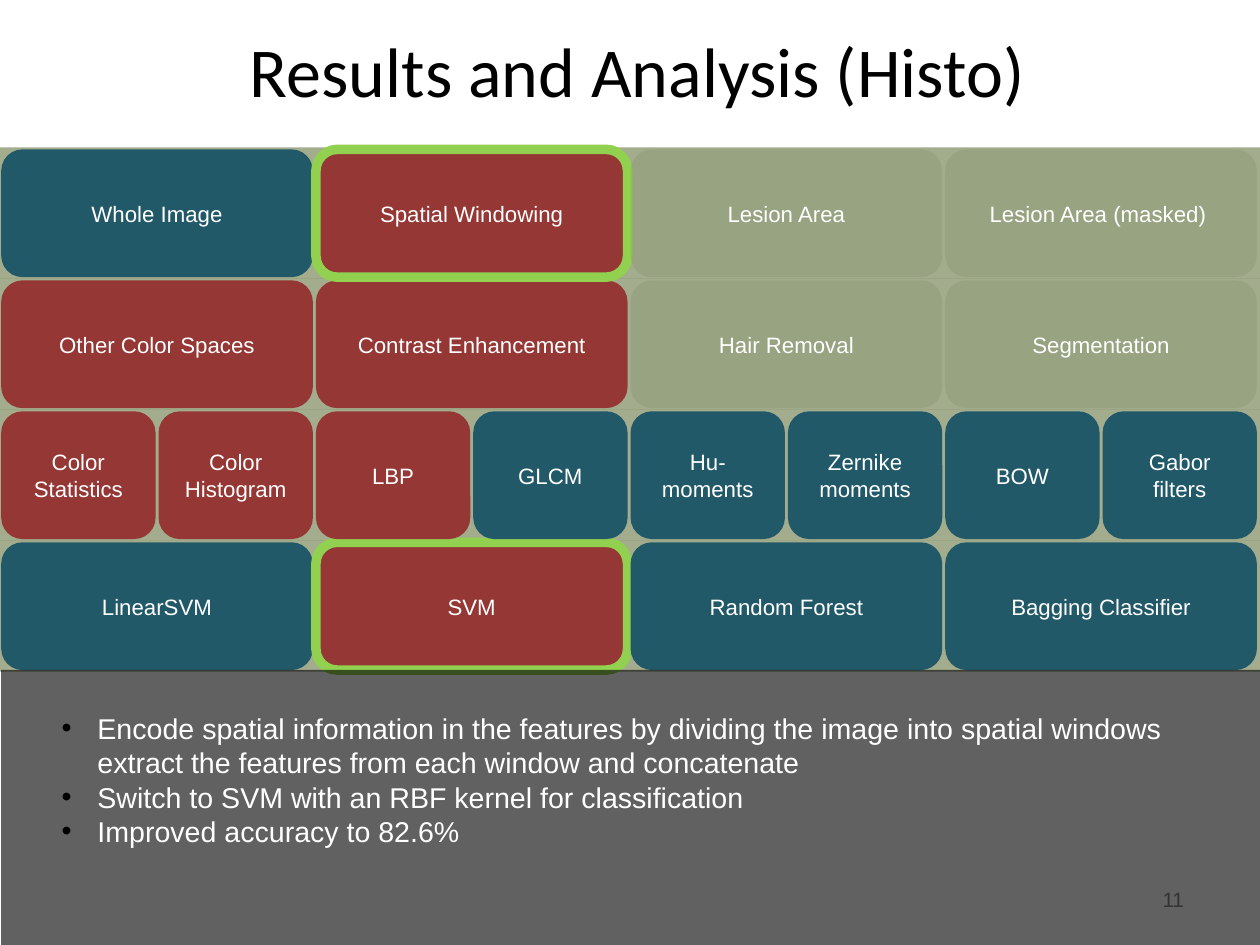
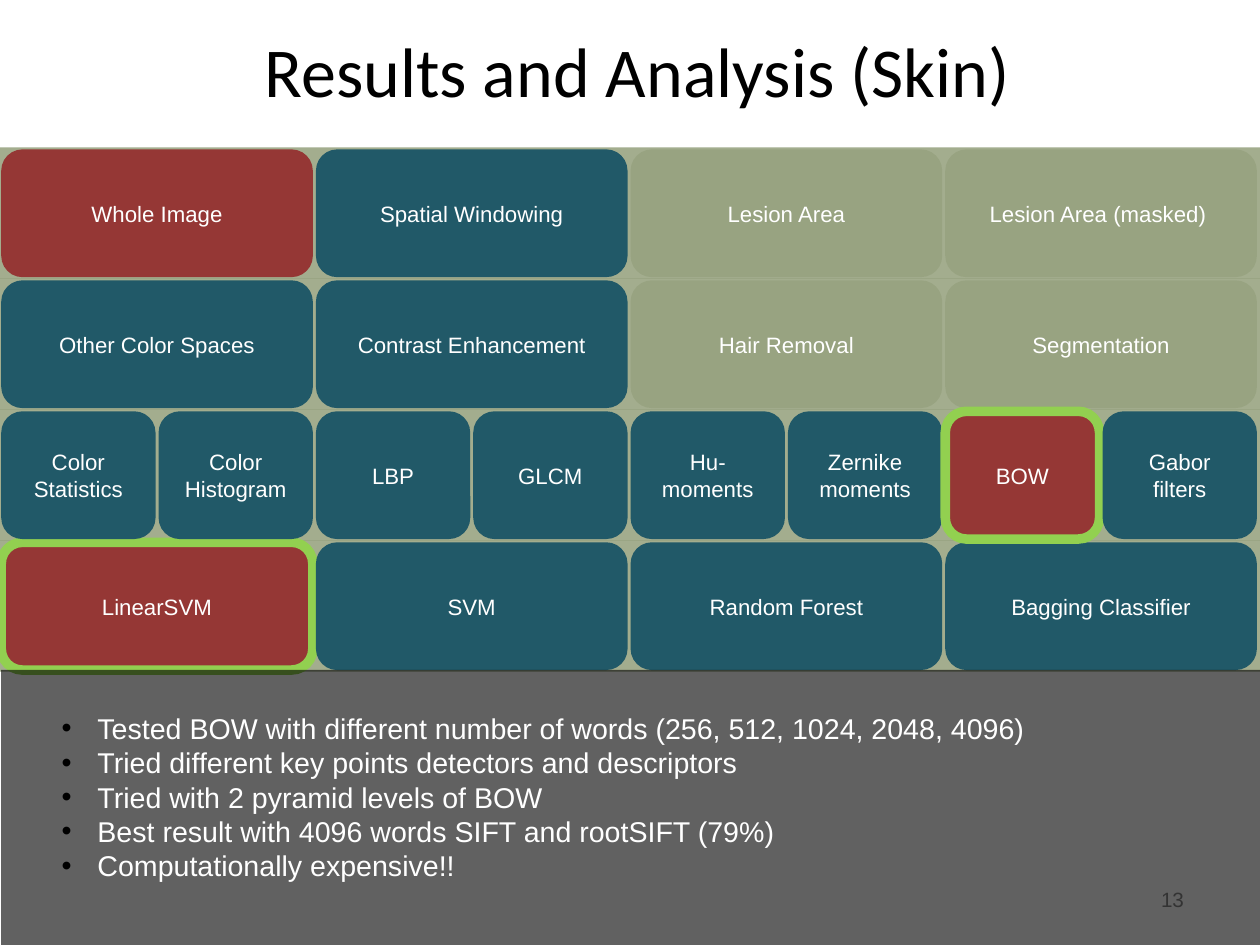
from lxml import etree
from pptx import Presentation
from pptx.dml.color import RGBColor
from pptx.enum import shapes as es, text as et
from pptx.oxml.ns import qn
from pptx.util import Pt

WIDE, HIGH = 793.75, 595.25
BLUE, RED, LIME = "215968", "953735", "92D050"
OLIVE, WHITE, BLACK, GREY = "4F6228", "FFFFFF", "000000", "888888"
TOP, PITCH, EDGE, GAP = 92.8, 82.5, 0.8, 1.9

ROWS = [
    ["Whole Image", "Spatial Windowing", "Lesion Area", "Lesion Area (masked) "],
    ["Other Color Spaces", "Contrast Enhancement", "Hair Removal", "Segmentation"],
    ["Color Statistics", "Color Histogram", "LBP", "GLCM",
     "Hu-moments", "Zernike moments", "BOW", "Gabor filters"],
    ["LinearSVM", "SVM", "Random Forest", "Bagging Classifier"],
]
FADED = {"Lesion Area", "Lesion Area (masked) ", "Hair Removal", "Segmentation"}

SLIDES = [
    {
        "title": "Results and Analysis (Histo)",
        "page": "11",
        "used": {"Spatial Windowing", "Other Color Spaces", "Contrast Enhancement",
                 "Color Statistics", "Color Histogram", "LBP", "SVM"},
        "ringed": {"Spatial Windowing", "SVM"},
        "notes": [
            "Encode spatial information in the features by dividing the image into "
            "spatial windows extract the features from each window and concatenate",
            "Switch to SVM with an RBF kernel for classification",
            "Improved accuracy to 82.6%",
        ],
    },
    {
        "title": "Results and Analysis (Skin)",
        "page": "13",
        "used": {"Whole Image", "BOW", "LinearSVM"},
        "ringed": {"BOW", "LinearSVM"},
        "notes": [
            "Tested BOW with different number of words (256, 512, 1024, 2048, 4096)",
            "Tried different key points detectors and descriptors",
            "Tried with 2 pyramid levels of BOW",
            "Best result with 4096 words SIFT and rootSIFT (79%)",
            "Computationally expensive!!",
        ],
    },
]


def tint(hue):
    return RGBColor.from_string(hue)


def place(item, x, y, w, h):
    item.left, item.top, item.width, item.height = Pt(x), Pt(y), Pt(w), Pt(h)


def write(para, words, size, hue, face="Arial", align=et.PP_ALIGN.LEFT, lead=1.0):
    para.alignment = align
    para.line_spacing = lead
    para.space_before = Pt(0)
    run = para.add_run()
    run.text = words
    run.font.size = Pt(size)
    run.font.name = face
    run.font.color.rgb = tint(hue)


def frame(item, side, edge, anchor):
    box = item.text_frame
    box.word_wrap = True
    box.auto_size = et.MSO_AUTO_SIZE.NONE
    box.vertical_anchor = anchor
    box.margin_left = box.margin_right = Pt(side)
    box.margin_top = box.margin_bottom = Pt(edge)
    return box


def block(slide, kind, x, y, w, h, hue, alpha=100):
    item = slide.shapes.add_shape(kind, Pt(x), Pt(y), Pt(w), Pt(h))
    item.shadow.inherit = False
    item.fill.solid()
    item.fill.fore_color.rgb = tint(hue)
    item.line.fill.background()
    if alpha < 100:
        node = item.fill._xPr.find(".//" + qn("a:srgbClr"))
        etree.SubElement(node, qn("a:alpha"), val=str(alpha * 1000))
    return item


def cell(slide, words, x, y, w, h, used, ringed):
    hue, alpha = (OLIVE, 12) if words in FADED else (RED if words in used else BLUE, 100)
    item = block(slide, es.MSO_SHAPE.ROUNDED_RECTANGLE, x, y, w, h, hue, alpha)
    if words in ringed:
        item.line.color.rgb = tint(LIME)
        item.line.width = Pt(6)
    box = frame(item, 7.2, 3.6, et.MSO_ANCHOR.MIDDLE)
    write(box.paragraphs[0], words, 14, WHITE, align=et.PP_ALIGN.CENTER)


def row(slide, rank, used, ringed):
    names = ROWS[rank]
    step = (WIDE - EDGE) / len(names)
    for i, name in enumerate(names):
        cell(slide, name, EDGE + i * step, TOP + rank * PITCH + 1.3,
             step - GAP, PITCH - 2, used, ringed)


def title(slide, words):
    item = slide.shapes.title
    place(item, 44.6, 14.4, 714.2, 59)
    box = frame(item, 7.9, 4.3, et.MSO_ANCHOR.MIDDLE)
    write(box.paragraphs[0], words, 44.1, BLACK, "Calibri", et.PP_ALIGN.CENTER)


def page(slide, words):
    item = slide.shapes.add_textbox(Pt(568.8), Pt(551.5), Pt(185), Pt(31.7))
    box = frame(item, 7.9, 4.3, et.MSO_ANCHOR.MIDDLE)
    write(box.paragraphs[0], words, 13, GREY, align=et.PP_ALIGN.RIGHT, lead=0.93)


def bullet(para):
    prop = para._p.get_or_add_pPr()
    prop.set("marL", str(Pt(22.5)))
    prop.set("indent", str(-Pt(22.5)))
    tone = etree.SubElement(prop, qn("a:buClr"))
    etree.SubElement(tone, qn("a:srgbClr"), val=BLACK)
    etree.SubElement(prop, qn("a:buFont"), typeface="Arial")
    etree.SubElement(prop, qn("a:buChar"), char="•")


def notes(slide, lines, high):
    item = slide.placeholders[1]
    slide.shapes._spTree.append(item._element)
    place(item, 31.7, 444.2, 738, high)
    box = frame(item, 7.2, 3.6, et.MSO_ANCHOR.TOP)
    for i, line in enumerate(lines):
        para = box.add_paragraph() if i else box.paragraphs[0]
        write(para, line, 18, WHITE)
        bullet(para)


def build(deck, data):
    slide = deck.slides.add_slide(deck.slide_layouts[1])
    rect = es.MSO_SHAPE.RECTANGLE
    title(slide, data["title"])
    page(slide, data["page"])
    for rank in range(len(ROWS)):
        block(slide, rect, 0, TOP + rank * PITCH, WIDE, PITCH + 0.3, OLIVE, 52)
    for rank in (1, 0, 3):
        row(slide, rank, data["used"], data["ringed"])
    block(slide, rect, EDGE, 422, WIDE - EDGE, HIGH - 422, BLACK, 62)
    row(slide, 2, data["used"], data["ringed"])
    notes(slide, data["notes"], 7.2 + 21.8 * max(4, len(data["notes"])))


def main():
    deck = Presentation()
    deck.slide_width, deck.slide_height = Pt(WIDE), Pt(HIGH)
    for data in SLIDES:
        build(deck, data)
    deck.save("out.pptx")


if __name__ == "__main__":
    main()
